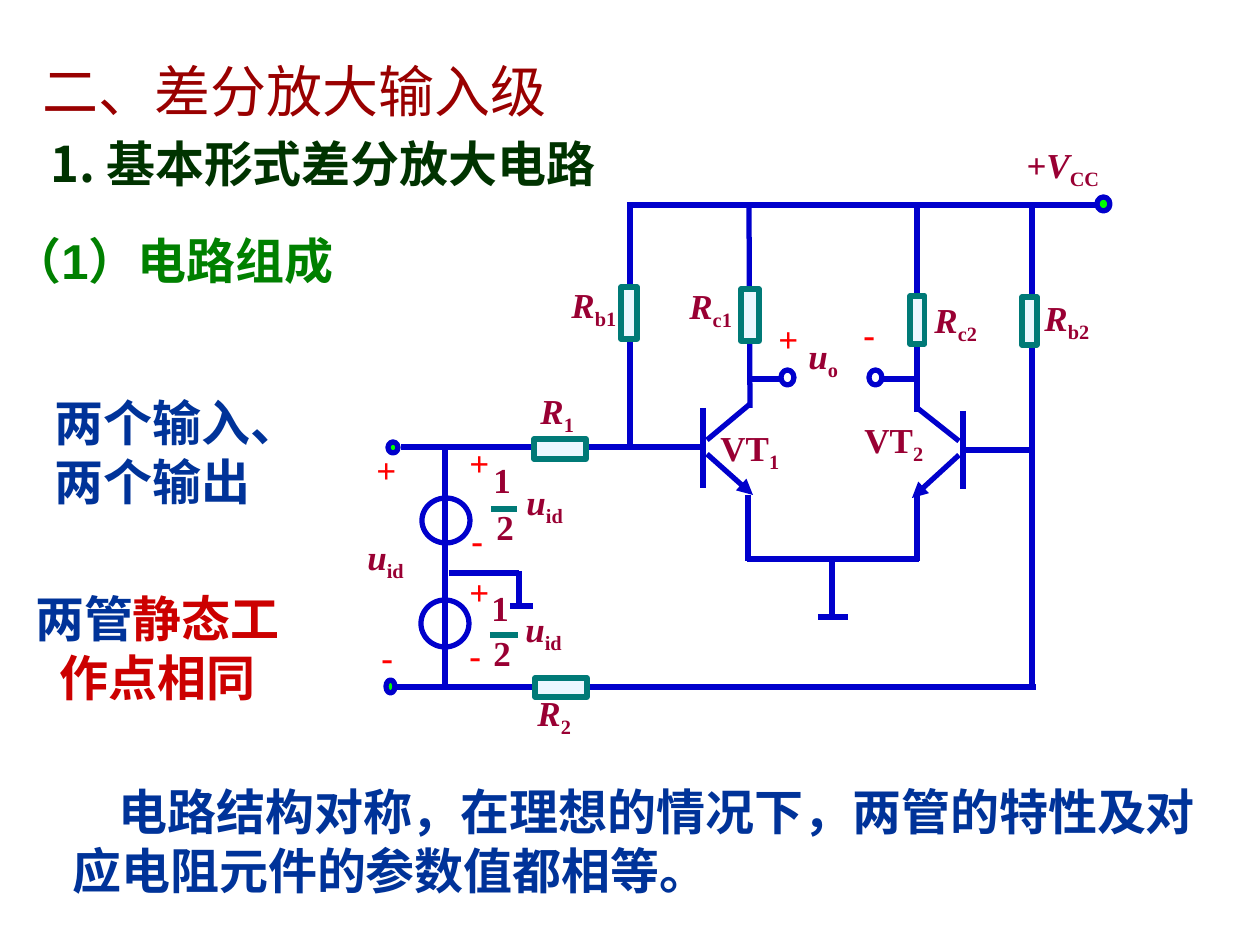
import pptx
import pptx.dml.color
import pptx.enum.shapes
import pptx.enum.text
import pptx.oxml.ns
import pptx.oxml.xmlchemy
import pptx.util

PX = 914400 / 126
COLORS = {
    "title": "990000", "subtitle": "003300", "section": "008000",
    "note": "003399", "accent": "CC0000", "label": "990033", "sign": "FF0000",
    "wire": "0000CC", "resistor": "007A77", "pale": "EBF7FF", "terminal": "00FF00",
}
SERIF = "Times New Roman"
CJK = "Noto Sans CJK SC"

# x1, y1, x2, y2
WIRES = [
    # supply rail, return line and vertical branches
    (627, 205, 1100, 205), (396, 687, 1036, 687), (1032, 205, 1032, 689),
    (630, 205, 630, 450), (749, 205, 750, 408), (917, 205, 917, 412),
    # transistor bases and collectors
    (703, 408, 703, 488), (707, 440, 750, 404),
    (963, 411, 963, 489), (959, 441, 916, 407),
    # common emitter and its ground
    (748, 495, 748, 561), (917, 495, 917, 561), (747, 559, 919, 559),
    (832, 562, 832, 617), (818, 617, 848, 617),
    # outputs and inputs
    (751, 379, 782, 379), (917, 379, 882, 379),
    (966, 450, 1034, 450), (401, 447, 704, 447),
    # signal sources and their ground
    (445, 450, 445, 684), (449, 573, 519, 573),
    (519, 571, 519, 606), (510, 606, 533, 606),
]
EMITTERS = [(707, 454, 753, 495), (959, 455, 912, 498)]
FRACTION_BARS = [(491, 509, 517, 509), (490, 635, 518, 635)]

# left, top, width, height
RESISTORS = [
    (741, 289, 18, 52), (910, 296, 15, 48), (621, 287, 16, 52),
    (1022, 297, 15, 48), (535, 678, 52, 19), (534, 439, 52, 20),
]
OPEN_CIRCLES = [
    (781, 370, 13, 15), (869, 370, 13, 15),
    (421, 600, 48, 47), (422, 498, 48, 45),
]
TERMINALS = [(388, 442, 10, 11), (386, 680, 9, 13), (1097, 197, 13, 14)]

# sign, left, top
SIGNS = [
    ("+", 766, 311), ("-", 851, 306), ("+", 457, 564), ("-", 457, 627),
    ("+", 364, 442), ("-", 369, 629), ("+", 457, 435), ("-", 459, 512),
]
DIGITS = [("1", 481, 452), ("2", 484, 499), ("1", 479, 580), ("2", 481, 625)]

# name, subscript, left, top, width
LABELS = [
    ("u", "o", 796, 328, 72), ("u", "id", 355, 529, 77),
    ("u", "id", 514, 474, 77), ("u", "id", 513, 601, 77),
    ("+V", "CC", 1014, 137, 135), ("R", "2", 525, 685, 92),
    ("R", "1", 528, 383, 76), ("R", "b1", 559, 277, 97),
    ("R", "b2", 1032, 290, 96), ("R", "c1", 677, 278, 100),
    ("R", "c2", 922, 292, 97), ("VT", "1", 708, 420, 110),
    ("VT", "2", 852, 412, 115),
]


def px(n):
    return pptx.util.Emu(round(n * PX))


def rgb(name):
    return pptx.dml.color.RGBColor.from_string(COLORS[name])


def element(tag):
    return pptx.oxml.xmlchemy.OxmlElement(tag)


def add_line(s, ends, color="wire", arrow=False):
    line = s.shapes.add_connector(
        pptx.enum.shapes.MSO_CONNECTOR.STRAIGHT, *map(px, ends))
    line.line.color.rgb = rgb(color)
    line.line.width = pptx.util.Pt(3)
    if arrow:
        tail = element("a:tailEnd")
        tail.set("type", "triangle")
        line.line._get_or_add_ln().append(tail)
    line._element.spPr.append(element("a:effectLst"))


def add_part(s, kind, box, color, fill=None):
    """Draw an outlined circuit part, hollow when no fill is given."""
    sp = s.shapes.add_shape(kind, *map(px, box))
    sp.shadow.inherit = False
    sp.line.color.rgb = rgb(color)
    sp.line.width = pptx.util.Pt(3)
    if fill:
        sp.fill.solid()
        sp.fill.fore_color.rgb = rgb(fill)
    else:
        sp.fill.background()


def format_run(r, size, color, bold=True, font=SERIF):
    r.font.size = pptx.util.Pt(size)
    r.font.bold = bold
    r.font.color.rgb = rgb(color)
    r.font.name = font
    east = element("a:ea")
    east.set("typeface", CJK)
    r.font._element.find(pptx.oxml.ns.qn("a:latin")).addnext(east)


def add_text(s, box, runs, size, bold=True, font=SERIF):
    """Add one paragraph made of (text, colour) runs and return it."""
    tf = s.shapes.add_textbox(*map(px, box)).text_frame
    tf.word_wrap = True
    p = tf.paragraphs[0]
    for text, color in runs:
        r = p.add_run()
        r.text = text
        format_run(r, size, color, bold, font)
    return p


def add_label(s, name, subscript, left, top, width):
    p = add_text(s, (left, top, width, 60),
                 [(name, "label"), (subscript, "label")], 20)
    symbol, index = p.runs
    symbol.font.italic = name != "VT"
    index.font._element.set("baseline", "-25000")


def add_circuit(s):
    shapes = pptx.enum.shapes.MSO_SHAPE
    for ends in WIRES:
        add_line(s, ends)
    for ends in EMITTERS:
        add_line(s, ends, arrow=True)
    for ends in FRACTION_BARS:
        add_line(s, ends, "resistor")
    for box in RESISTORS:
        add_part(s, shapes.RECTANGLE, box, "resistor", "pale")
    for box in OPEN_CIRCLES:
        add_part(s, shapes.OVAL, box, "wire")
    for box in TERMINALS:
        add_part(s, shapes.OVAL, box, "wire", "terminal")
    for marks, color in ((SIGNS, "sign"), (DIGITS, "label")):
        for text, left, top in marks:
            add_text(s, (left, top, 54, 55), [(text, color)], 20)
    for label in LABELS:
        add_label(s, *label)


def add_headings(s):
    add_text(s, (30, 50, 717, 81), [("二、差分放大输入级", "title")], 32, bold=False)
    add_text(s, (38, 127, 717, 72), [("1. 基本形式差分放大电路", "subtitle")], 28, font=CJK)
    add_text(s, (0, 224, 504, 95), [("（1）电路组成", "section")], 28, font="Arial")


def add_remarks(s):
    add_text(s, (42, 386, 315, 131), [("两个输入、两个输出", "note")], 28)
    p = add_text(s, (0, 582, 315, 131),
                 [("两管", "note"), ("静态工作点相同", "accent")], 28)
    p.alignment = pptx.enum.text.PP_ALIGN.CENTER
    p = add_text(
        s, (60, 775, 1176, 131),
        [("电路结构对称，在理想的情况下，两管的特性及对应电阻元件的参数值都相等。", "note")], 28)
    p._p.get_or_add_pPr().set("indent", str(px(46)))


def main():
    prs = pptx.Presentation()
    prs.slide_width, prs.slide_height = px(1260), px(945)
    s = prs.slides.add_slide(prs.slide_layouts[6])
    add_circuit(s)
    add_headings(s)
    add_remarks(s)
    prs.save("out.pptx")


if __name__ == "__main__":
    main()
